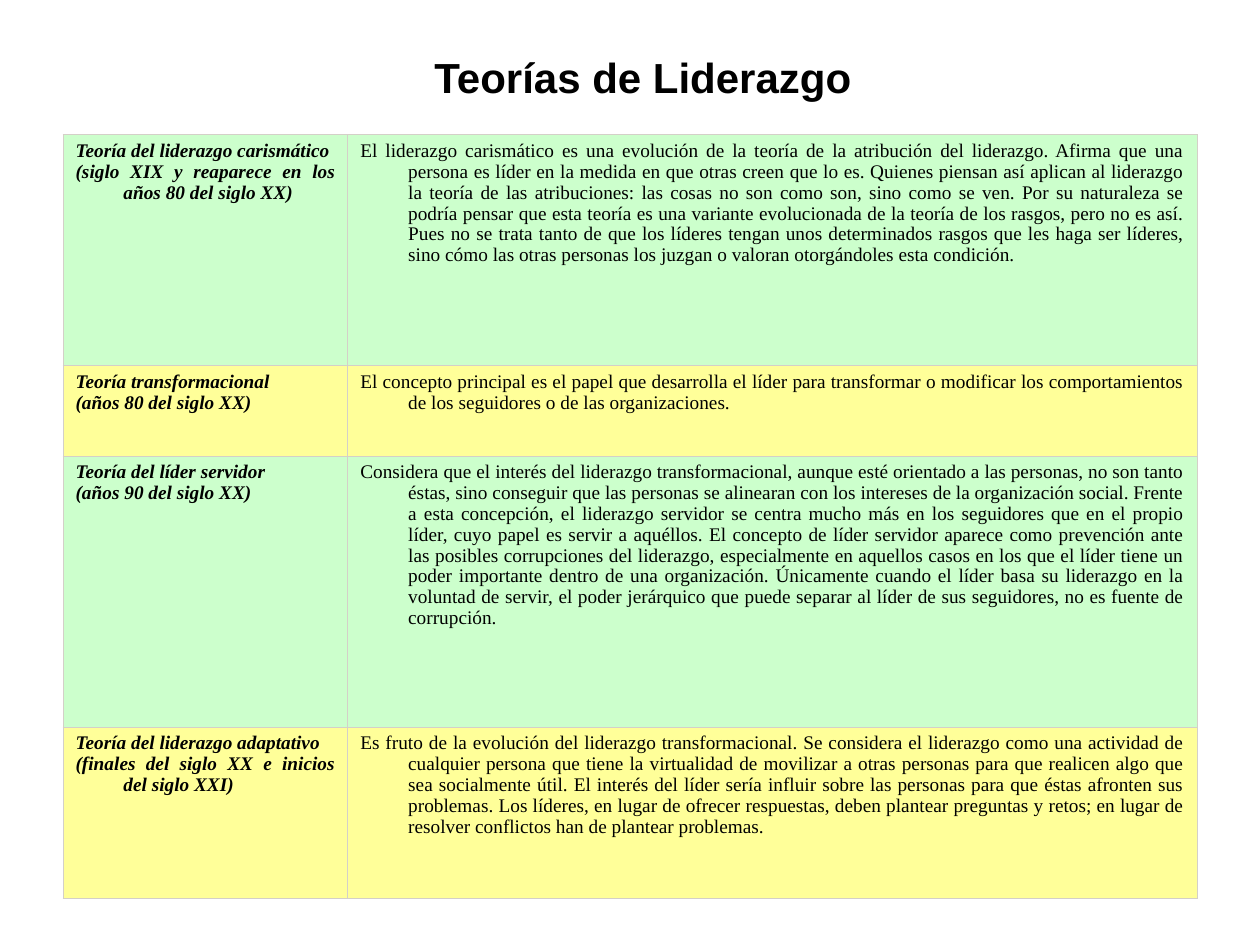
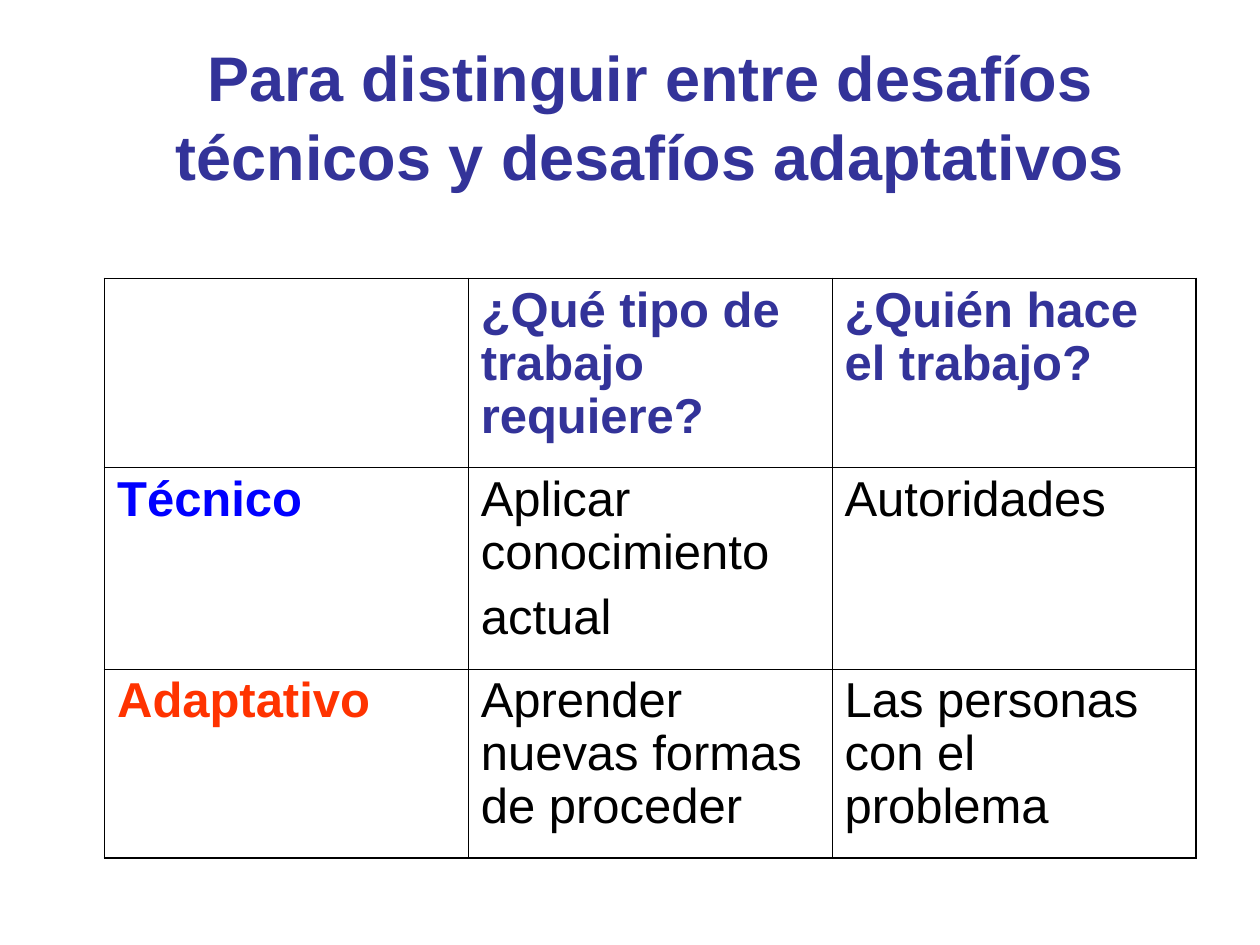
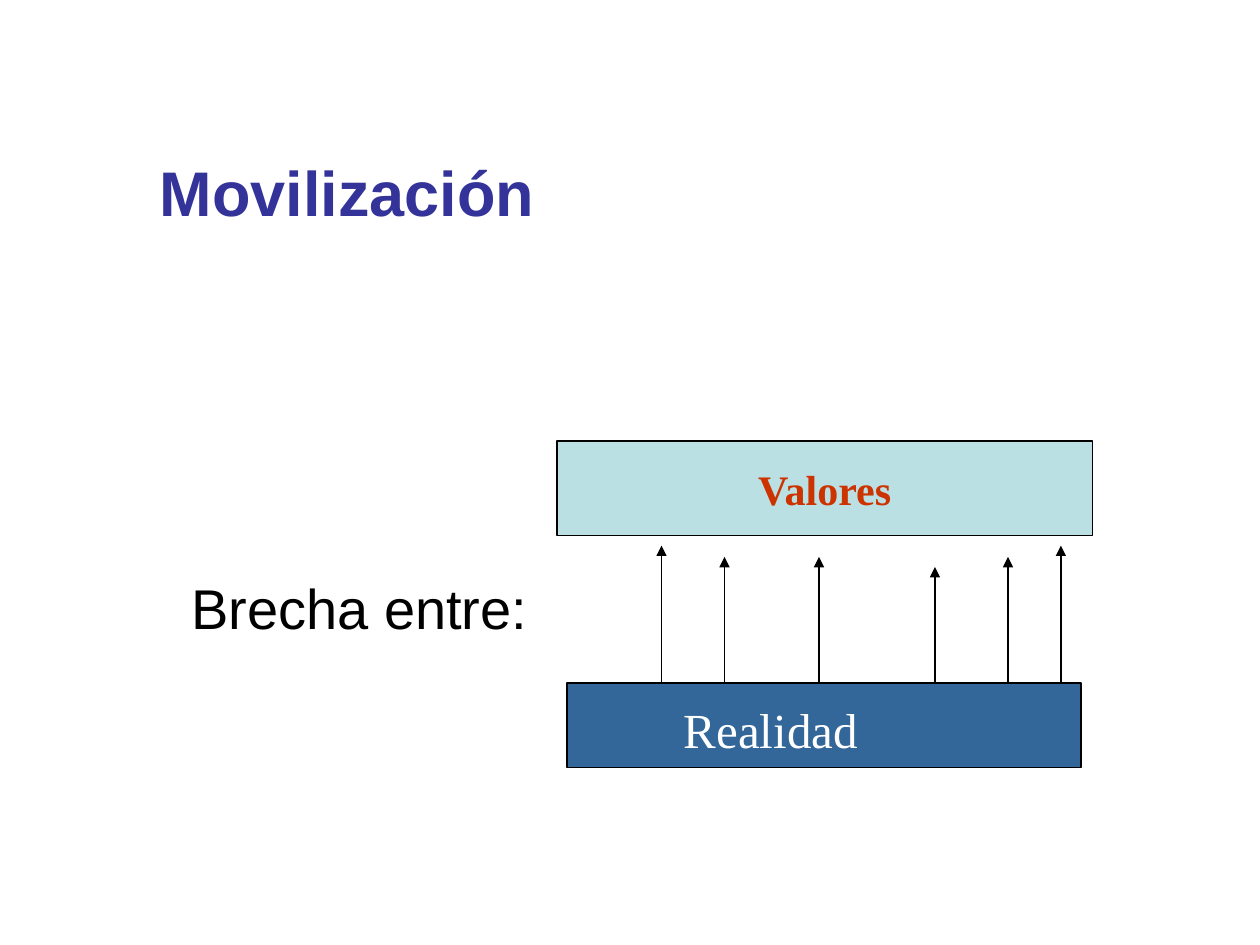
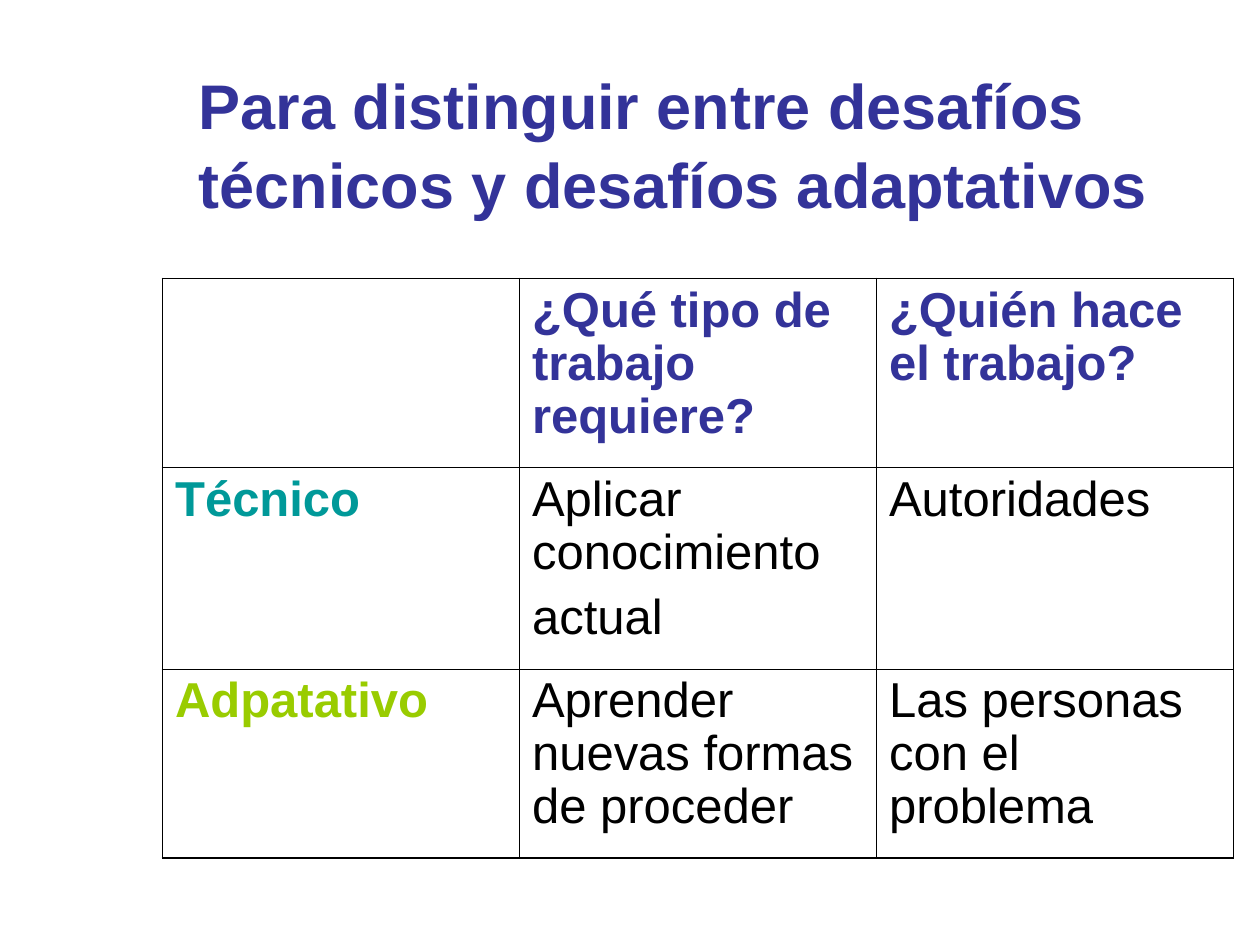
from lxml import etree
from pptx import Presentation
from pptx.dml.color import RGBColor
from pptx.enum import shapes, text
from pptx.oxml import ns
from pptx.util import Inches, Pt

BLACK = RGBColor(0x00, 0x00, 0x00)
WHITE = RGBColor(0xFF, 0xFF, 0xFF)
INDIGO = RGBColor(0x33, 0x33, 0x99)
BLUE = RGBColor(0x00, 0x00, 0xFF)
ORANGE = RGBColor(0xFF, 0x33, 0x00)
TEAL = RGBColor(0x00, 0x99, 0x99)
LIME = RGBColor(0x99, 0xCC, 0x00)
RED = RGBColor(0xCC, 0x33, 0x00)
STEEL = RGBColor(0x33, 0x66, 0x99)
PALE_BLUE = RGBColor(0xBB, 0xE0, 0xE3)
PALE_GREEN = RGBColor(0xCC, 0xFF, 0xCC)
PALE_YELLOW = RGBColor(0xFF, 0xFF, 0x99)
GREY = RGBColor(0xD4, 0xD0, 0xC8)
SANS, SERIF = "Arial", "Times New Roman"
TITLE_SIZE = 36
TABLE_SPACING, TITLE_SPACING = 0.97, 1.05
THIN, THICK = 0.45, 1.08


def write(frame, lines, size, font, colour, bold=False, italic=False,
          align=text.PP_ALIGN.LEFT, spacing=None, before=0):
    """Fill a text frame, one paragraph per line."""
    for index, line in enumerate(lines):
        para = frame.add_paragraph() if index else frame.paragraphs[0]
        para.alignment = align
        if spacing:
            para.line_spacing = spacing
        if index and before:
            para.space_before = Pt(before)
        span = para.add_run()
        span.text = line
        span.font.size = Pt(size)
        span.font.name = font
        span.font.color.rgb = colour
        span.font.bold = bold
        span.font.italic = italic


def draw_borders(cell, colour, left, right, top, bottom):
    """Draw the four cell edges, widths in points; call before the fill."""
    properties = cell._tc.get_or_add_tcPr()
    for side, width in zip("LRTB", (left, right, top, bottom)):
        edge = etree.SubElement(properties, ns.qn(f"a:ln{side}"), w=str(Pt(width)))
        fill = etree.SubElement(edge, ns.qn("a:solidFill"))
        etree.SubElement(fill, ns.qn("a:srgbClr"), val=str(colour))


deck = Presentation()
deck.slide_width, deck.slide_height = Inches(10), Inches(7.5)
theory_page, technical_page, gap_page, closing_page = [
    deck.slides.add_slide(deck.slide_layouts[6]) for _ in range(4)]

# Slide 1: theories, each with its row height, heading, period and description
theories = [
    (1.83, "Teoría del liderazgo carismático",
     "(siglo XIX y reaparece en los años 80 del siglo XX)",
     "El liderazgo carismático es una evolución de la teoría de la atribución del "
     "liderazgo. Afirma que una persona es líder en la medida en que otras creen que "
     "lo es. Quienes piensan así aplican al liderazgo la teoría de las atribuciones: "
     "las cosas no son como son, sino como se ven. Por su naturaleza se podría pensar "
     "que esta teoría es una variante evolucionada de la teoría de los rasgos, pero no "
     "es así. Pues no se trata tanto de que los líderes tengan unos determinados rasgos "
     "que les haga ser líderes, sino cómo las otras personas los juzgan o valoran "
     "otorgándoles esta condición."),
    (0.72, "Teoría transformacional",
     "(años 80 del siglo XX)",
     "El concepto principal es el papel que desarrolla el líder para transformar o "
     "modificar los comportamientos de los seguidores o de las organizaciones."),
    (2.15, "Teoría del líder servidor",
     "(años 90 del siglo XX)",
     "Considera que el interés del liderazgo transformacional, aunque esté orientado a "
     "las personas, no son tanto éstas, sino conseguir que las personas se alinearan con "
     "los intereses de la organización social. Frente a esta concepción, el liderazgo "
     "servidor se centra mucho más en los seguidores que en el propio líder, cuyo papel "
     "es servir a aquéllos. El concepto de líder servidor aparece como prevención ante "
     "las posibles corrupciones del liderazgo, especialmente en aquellos casos en los que "
     "el líder tiene un poder importante dentro de una organización. Únicamente cuando el "
     "líder basa su liderazgo en la voluntad de servir, el poder jerárquico que puede "
     "separar al líder de sus seguidores, no es fuente de corrupción."),
    (1.36, "Teoría del liderazgo adaptativo",
     "(finales del siglo XX e inicios del siglo XXI)",
     "Es fruto de la evolución del liderazgo transformacional. Se considera el liderazgo "
     "como una actividad de cualquier persona que tiene la virtualidad de movilizar a "
     "otras personas para que realicen algo que sea socialmente útil. El interés del "
     "líder sería influir sobre las personas para que éstas afronten sus problemas. Los "
     "líderes, en lugar de ofrecer respuestas, deben plantear preguntas y retos; en lugar "
     "de resolver conflictos han de plantear problemas."),
]
table = theory_page.shapes.add_table(
    len(theories), 2, Inches(0.5), Inches(1.07), Inches(9), Inches(6.06)).table
table.first_row = table.horz_banding = False
table.columns[0].width, table.columns[1].width = Inches(2.26), Inches(6.74)
for row, (height, heading, period, description) in enumerate(theories):
    table.rows[row].height = Inches(height)
    for column, lines in enumerate([[heading, period], [description]]):
        cell = table.cell(row, column)
        draw_borders(cell, GREY, THIN, THIN, THIN, THIN)
        cell.fill.solid()
        cell.fill.fore_color.rgb = PALE_YELLOW if row % 2 else PALE_GREEN
        is_heading = column == 0
        write(cell.text_frame, lines, 11, SERIF, BLACK, is_heading, is_heading,
              text.PP_ALIGN.JUSTIFY, TABLE_SPACING)
        for para in cell.text_frame.paragraphs:
            indent = para._p.get_or_add_pPr()
            indent.set("marL", str(Inches(0.38)))
            indent.set("indent", str(-Inches(0.38)))

box = theory_page.shapes.add_textbox(Inches(3.35), Inches(0.36), Inches(3.53), Inches(0.5))
box.text_frame.word_wrap = False
write(box.text_frame, ["Teorías de Liderazgo"], 24, SANS, BLACK, bold=True)

# Slides 2 and 4: technical and adaptive challenges
challenge_pages = [
    (technical_page, 0.9, 0.28, text.PP_ALIGN.CENTER, 0.83, 8.66,
     "Adaptativo", BLUE, ORANGE),
    (closing_page, 1.48, 0.5, text.PP_ALIGN.LEFT, 1.29, 8.5,
     "Adpatativo", TEAL, LIME),
]
for (page, title_left, title_top, align, table_left, table_width,
     adaptive_label, technical_colour, adaptive_colour) in challenge_pages:
    box = page.shapes.add_textbox(
        Inches(title_left), Inches(title_top), Inches(8.52), Inches(1.25))
    box.text_frame.word_wrap = True
    box.text_frame.vertical_anchor = text.MSO_ANCHOR.MIDDLE
    write(box.text_frame, ["Para distinguir entre desafíos técnicos y desafíos adaptativos"],
          TITLE_SIZE, SANS, INDIGO, bold=True, align=align, spacing=TITLE_SPACING)

    rows = [
        [[], ["¿Qué tipo de trabajo requiere?"], ["¿Quién hace el trabajo?"]],
        [["Técnico"], ["Aplicar conocimiento", "actual"], ["Autoridades"]],
        [[adaptive_label], ["Aprender nuevas formas de proceder"],
         ["Las personas con el problema"]],
    ]
    label_colours = [INDIGO, technical_colour, adaptive_colour]
    table = page.shapes.add_table(
        3, 3, Inches(table_left), Inches(2.21), Inches(table_width), Inches(4.6)).table
    table.first_row = table.horz_banding = False
    for row, height in enumerate([1.5, 1.6, 1.5]):
        table.rows[row].height = Inches(height)
        table.columns[row].width = Inches(table_width / 3)
        for column, lines in enumerate(rows[row]):
            cell = table.cell(row, column)
            draw_borders(cell, BLACK,
                         left=THIN if column else THICK,
                         right=THICK if column == 2 else THIN,
                         top=THIN if row else THICK,
                         bottom=THICK if row == 2 else THIN)
            cell.fill.background()
            is_label = row == 0 or column == 0
            write(cell.text_frame, lines, 28, SANS,
                  label_colours[row] if is_label else BLACK, bold=is_label,
                  spacing=TABLE_SPACING, before=7)

# Slide 3: the two bars of the gap
bars = {}
for name, left, top, width, height, colour in [
        ("Realidad", 4.5, 5.42, 4.08, 0.67, STEEL),
        ("Valores", 4.42, 3.5, 4.25, 0.75, PALE_BLUE)]:
    bar = gap_page.shapes.add_shape(
        shapes.MSO_SHAPE.RECTANGLE, Inches(left), Inches(top), Inches(width), Inches(height))
    bar.shadow.inherit = False
    bar.fill.solid()
    bar.fill.fore_color.rgb = colour
    bar.line.color.rgb = BLACK
    bar.line.width = Pt(0.75)
    bars[name] = bar
values_frame = bars["Valores"].text_frame
values_frame.word_wrap = False
values_frame.vertical_anchor = text.MSO_ANCHOR.MIDDLE
write(values_frame, ["Valores"], 24, SERIF, RED, bold=True, align=text.PP_ALIGN.CENTER)

# Slide 3: title and labels
for label, left, top, width, height, size, font, colour, bold in [
        ("Movilización", 1.17, 1.17, 6.5, 1.62, TITLE_SIZE, SANS, INDIGO, True),
        ("Brecha entre:", 1.42, 4.5, 7.17, 0.64, 32, SANS, BLACK, False),
        ("Realidad", 5.33, 5.5, 2.58, 0.57, 28, SERIF, WHITE, False)]:
    box = gap_page.shapes.add_textbox(
        Inches(left), Inches(top), Inches(width), Inches(height))
    box.text_frame.word_wrap = True
    write(box.text_frame, [label], size, font, colour, bold)

# Slide 3: arrows rising from reality towards values, the first three grouped
group = gap_page.shapes.add_group_shape()
for index, (x, tip) in enumerate([(5.25, 4.33), (5.75, 4.42), (6.5, 4.42),
                                  (7.42, 4.5), (8, 4.42), (8.42, 4.33)]):
    parent = group if index < 3 else gap_page
    arrow = parent.shapes.add_connector(
        shapes.MSO_CONNECTOR.STRAIGHT, Inches(x), Inches(5.42), Inches(x), Inches(tip))
    arrow.line.color.rgb = BLACK
    arrow.line.width = Pt(0.75)
    etree.SubElement(arrow.line._get_or_add_ln(), ns.qn("a:tailEnd"), type="triangle")
    etree.SubElement(arrow._element.spPr, ns.qn("a:effectLst"))

deck.save("out.pptx")
